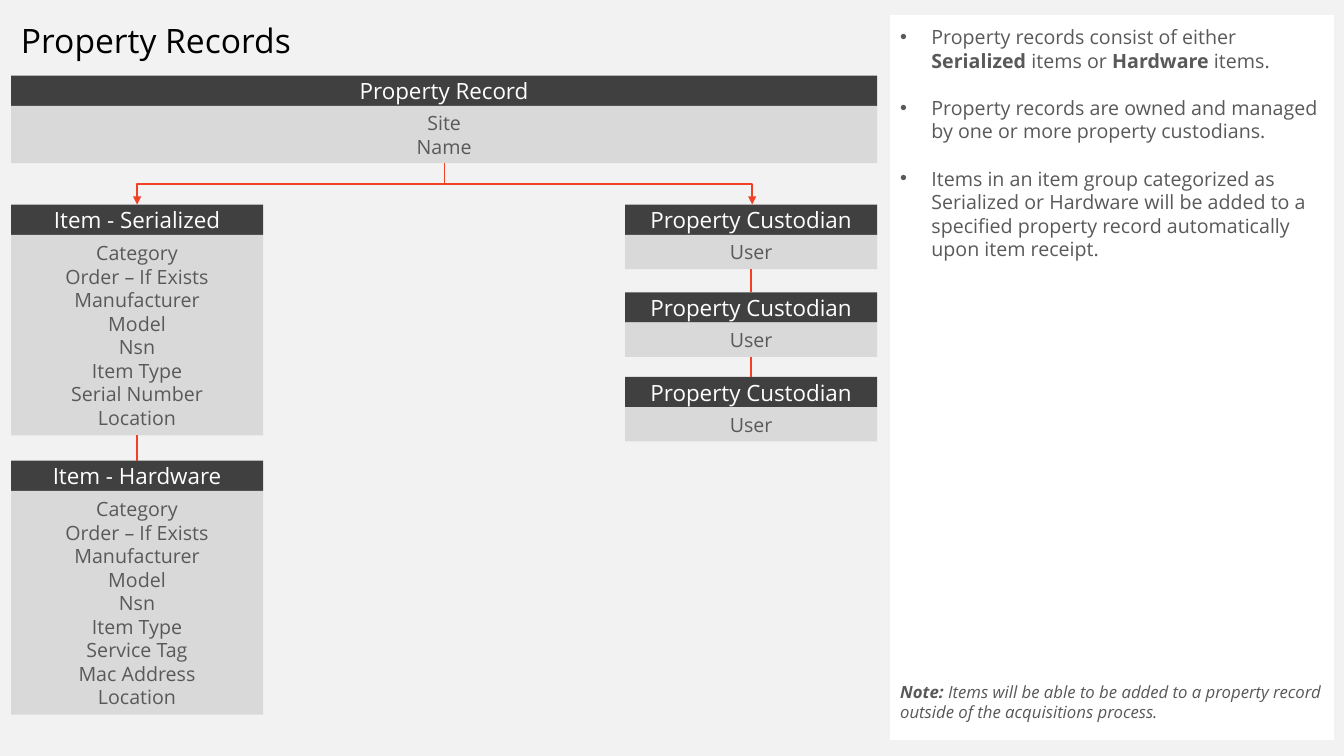
from lxml.etree import SubElement
from pptx import Presentation
from pptx.dml.color import RGBColor
from pptx.enum.shapes import MSO_CONNECTOR, MSO_SHAPE
from pptx.enum.text import MSO_ANCHOR, PP_ALIGN
from pptx.oxml.ns import qn
from pptx.util import Inches, Pt

DARK, GREY, TEXT, RED = "404040", "D9D9D9", "595959", "F14124"
HEADER_HEIGHT = 0.3


def add_box(left, top, width, height, lines, size, color, fill=None):
    """Add a rectangle, or a text box if fill is None; a line is a list of (text, style)."""
    place = [Inches(n) for n in (left, top, width, height)]
    if fill:
        box = page.shapes.add_shape(MSO_SHAPE.RECTANGLE, *place)
        box.shadow.inherit = False
        box.fill.solid()
        box.fill.fore_color.rgb = RGBColor.from_string(fill)
        box.line.fill.background()
    else:
        box = page.shapes.add_textbox(*place)
    frame = box.text_frame
    frame.word_wrap = True
    frame.vertical_anchor = MSO_ANCHOR.MIDDLE if fill else MSO_ANCHOR.TOP
    for number, line in enumerate(lines):
        para = frame.add_paragraph() if number else frame.paragraphs[0]
        para.alignment = PP_ALIGN.CENTER if fill else PP_ALIGN.LEFT
        for text, style in line:
            span = para.add_run()
            span.text = text
            span.font.name = "Open Sans"
            span.font.size = Pt(size)
            span.font.bold = "b" in style
            span.font.italic = "i" in style
            span.font.color.rgb = RGBColor.from_string(color)
    return box


def add_line(kind, x1, y1, x2, y2):
    line = page.shapes.add_connector(kind, *[Inches(n) for n in (x1, y1, x2, y2)])
    line.line.color.rgb = RGBColor.from_string(RED)
    line.line.width = Pt(1)
    SubElement(line._element.spPr, qn("a:effectLst"))
    return line


deck = Presentation()
deck.slide_width, deck.slide_height = Inches(13.33), Inches(7.5)
page = deck.slides.add_slide(deck.slide_layouts[6])
page.background.fill.solid()
page.background.fill.fore_color.rgb = RGBColor.from_string("F2F2F2")

# Side panel with bullets and a note
panel = add_box(8.83, 0.15, 4.4, 7.19, [
    [("Property records consist of either ", ""), ("Serialized", "b"),
     (" items or ", ""), ("Hardware ", "b"), ("items.", "")],
    [("Property records are owned and managed by one or more property custodians.", "")],
    [("Items in an item group categorized as Serialized or Hardware will be added to a "
      "specified property record automatically upon item receipt.", "")],
], 14, TEXT, "FFFFFF")
panel.text_frame.vertical_anchor = MSO_ANCHOR.TOP
panel.text_frame.margin_top = Inches(0.1)
for para in panel.text_frame.paragraphs:
    para.alignment = PP_ALIGN.LEFT
    para.space_after = Pt(16.8)
    props = para._p.get_or_add_pPr()
    props.set("marL", str(Inches(0.31)))
    props.set("indent", str(-Inches(0.31)))
    SubElement(props, qn("a:buFont")).set("typeface", "Arial")
    SubElement(props, qn("a:buChar")).set("char", "•")

add_box(8.83, 6.71, 4.4, 0.5, [
    [("Note: ", "bi"), ("Items will be able to be added to a property record outside "
                        "of the acquisitions process.", "i")],
], 12, TEXT)

# Title
add_box(0.11, 0.15, 8.59, 0.5, [[("Property Records", "")]], 24, "000000")

# Record cards: a dark header over a grey list of fields
item_fields = ["Category", "Order – If Exists", "Manufacturer", "Model", "Nsn", "Item Type"]
cards = [
    ("Property Record", 0.11, 0.75, 8.59, ["Site", "Name"]),
    ("Item - Serialized", 0.11, 2.03, 2.5, item_fields + ["Serial Number", "Location"]),
    ("Item - Hardware", 0.11, 4.57, 2.5,
     item_fields + ["Service Tag", "Mac Address", "Location"]),
]
cards += [("Property Custodian", 6.2, top, 2.5, ["User"]) for top in (2.03, 2.9, 3.74)]
headers, bodies = [], []
for name, left, top, width, fields in cards:
    headers.append(add_box(left, top, width, HEADER_HEIGHT, [[(name, "")]],
                           16, "FFFFFF", DARK))
    height = round(0.1 + 0.236 * len(fields), 2)
    bodies.append(add_box(left, top + HEADER_HEIGHT, width, height,
                          [[(field, "")] for field in fields], 14, TEXT, GREY))

# Straight links between stacked cards
for upper, lower in ((1, 2), (3, 4), (4, 5)):
    link = add_line(MSO_CONNECTOR.STRAIGHT, 0, 0, 1, 1)
    link.begin_connect(bodies[upper], 2)
    link.end_connect(headers[lower], 0)

# Elbow arrows, turned so that they leave the record downwards
for x1, x2, turn in ((2.68, 3.09, 90), (6.14, 5.73, 270)):
    arrow = add_line(MSO_CONNECTOR.ELBOW, x1, 0.3, x2, 3.35)
    arrow.rotation = turn
    SubElement(arrow.line._get_or_add_ln(), qn("a:tailEnd")).set("type", "triangle")

deck.save("out.pptx")
